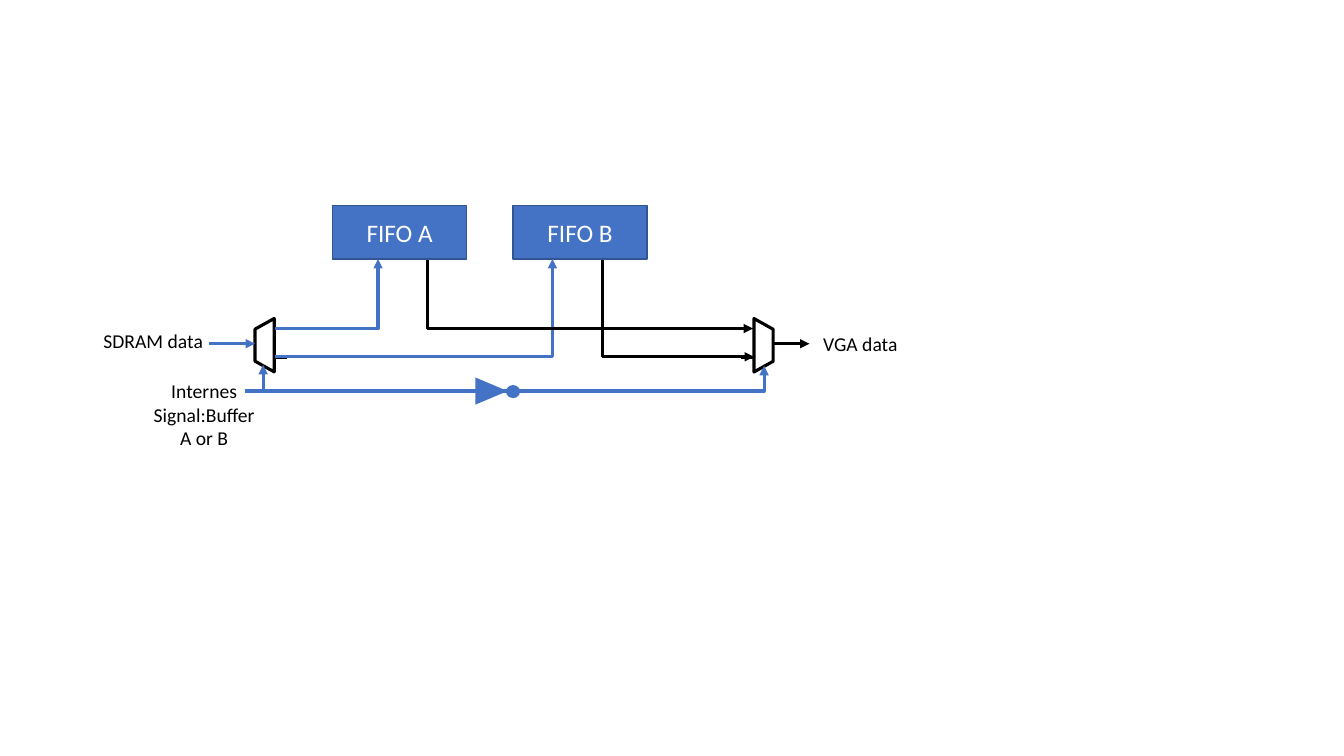
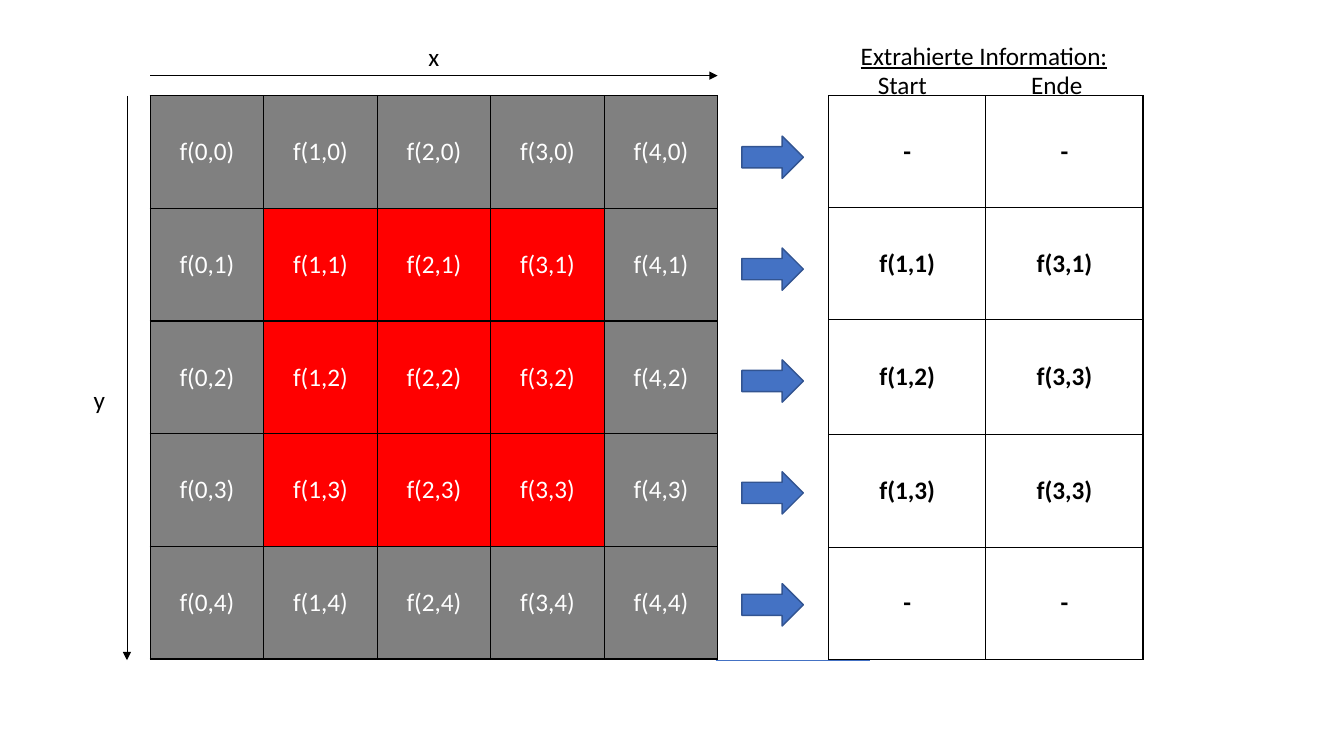
from dataclasses import dataclass

from lxml import etree
from pptx import Presentation
from pptx.dml.color import RGBColor
from pptx.enum.shapes import MSO_CONNECTOR, MSO_SHAPE
from pptx.enum.text import MSO_ANCHOR, MSO_AUTO_SIZE, PP_ALIGN
from pptx.oxml.ns import qn
from pptx.util import Inches, Pt

RECT = MSO_SHAPE.RECTANGLE
ARROW = MSO_SHAPE.RIGHT_ARROW
CONE = MSO_SHAPE.ISOSCELES_TRIANGLE
DOT = MSO_SHAPE.OVAL
MUX = MSO_SHAPE.FLOWCHART_MANUAL_OPERATION
LINE = MSO_CONNECTOR.STRAIGHT
BENT = MSO_CONNECTOR.ELBOW
LEFT = PP_ALIGN.LEFT
MID = PP_ALIGN.CENTER
CENTER = MSO_ANCHOR.MIDDLE
GROW = MSO_AUTO_SIZE.SHAPE_TO_FIT_TEXT

COLS, ROWS = 133.33, 75


@dataclass(frozen=True)
class Theme:
    font: str = "Calibri"
    blue: str = "4472C4"
    edge: str = "325491"
    black: str = "000000"
    white: str = "FFFFFF"
    gray: str = "808080"
    red: str = "FF0000"
    body: int = 18
    small: int = 14
    thick: float = 2.25
    thin: float = 1
    hair: float = 0.5


T = Theme()


def grid(*cells):
    return [Inches(cell / 10) for cell in cells]


def rgb(code):
    return RGBColor.from_string(code)


def write(frame, text, color, size=T.body, align=MID, bold=False, under=False):
    par = frame.paragraphs[0]
    par.alignment = align
    for i, part in enumerate(text.split("\n")):
        if i:
            par.add_line_break()
        run = par.add_run()
        run.text = part
        font = run.font
        font.name, font.size = T.font, Pt(size)
        font.bold, font.underline = bold, under
        font.color.rgb = rgb(color)


def label(slide, box, text, size=T.body, align=LEFT, wrap=False, under=False):
    frame = slide.shapes.add_textbox(*grid(*box)).text_frame
    frame.word_wrap = wrap
    frame.auto_size = GROW
    write(frame, text, T.black, size, align, under=under)


def block(slide, kind, box, fill=T.blue, edge=None, width=T.thin, turn=0, text=None):
    shape = slide.shapes.add_shape(kind, *grid(*box))
    shape.shadow.inherit = False
    shape.rotation = turn
    shape.fill.solid()
    shape.fill.fore_color.rgb = rgb(fill)
    if edge:
        shape.line.color.rgb = rgb(edge)
        shape.line.width = Pt(width)
    else:
        shape.line.fill.background()
    if text:
        shape.text_frame.vertical_anchor = CENTER
        write(shape.text_frame, text, T.white)


def wire(slide, start, end, color=T.black, width=T.thick, head=True, bend=None):
    kind = LINE if bend is None else BENT
    link = slide.shapes.add_connector(kind, *grid(*start, *end))
    link.line.color.rgb = rgb(color)
    link.line.width = Pt(width)
    props = link.element.spPr
    if head:
        etree.SubElement(props.find(qn("a:ln")), qn("a:tailEnd"), type="triangle")
    if bend is not None:
        shape = props.find(qn("a:prstGeom"))
        for old in shape.findall(qn("a:avLst")):
            shape.remove(old)
        marks = etree.SubElement(shape, qn("a:avLst"))
        etree.SubElement(marks, qn("a:gd"), name="adj1", fmla=f"val {bend * 100000}")
    etree.SubElement(props, qn("a:effectLst"))


def border(cell):
    props = cell._tc.get_or_add_tcPr()
    for i, side in enumerate(("a:lnL", "a:lnR", "a:lnT", "a:lnB")):
        line = etree.Element(qn(side), w=str(Pt(T.thin)))
        fill = etree.SubElement(line, qn("a:solidFill"))
        etree.SubElement(fill, qn("a:srgbClr"), val=T.black)
        props.insert(i, line)


def table(slide, spot, wide, highs, rows, color, fills=None, bold=False):
    count = len(rows[0])
    box = grid(*spot, wide * count, sum(highs))
    grid_table = slide.shapes.add_table(len(rows), count, *box).table
    grid_table.first_row = grid_table.horz_banding = False
    for col in grid_table.columns:
        col.width = Inches(wide / 10)
    for y, row in enumerate(rows):
        grid_table.rows[y].height = Inches(highs[y] / 10)
        for x, text in enumerate(row):
            cell = grid_table.cell(y, x)
            cell.vertical_anchor = CENTER
            if fills:
                cell.fill.solid()
                cell.fill.fore_color.rgb = rgb(fills[y][x])
            else:
                cell.fill.background()
            border(cell)
            write(cell.text_frame, text, color, bold=bold)


def mux(slide, mid, way):
    block(slide, MUX, (mid - 2.65, 33.3, 5.3, 1.9), T.white, T.black, T.thick,
          turn=90 * way)
    pins = [(0, 36.2, 0, 37.5), (1, 32.6, 2.2, 32.6),
            (1, 35.5, 2.2, 35.5), (-2, 34.1, -1, 34.1)]
    for left, top, right, low in pins:
        wire(slide, (mid + way * left, top), (mid + way * right, low),
             width=T.thin, head=False)


def buffers(slide):
    mux(slide, 26.25, 1)
    mux(slide, 75.75, -1)
    for left, name in ((33, "FIFO A"), (50.9, "FIFO B")):
        block(slide, RECT, (left, 20.4, 13.3, 5.3), edge=T.edge, text=name)
    block(slide, CONE, (47.4, 37.2, 2.7, 3.2), turn=90)
    block(slide, DOT, (50.2, 38.2, 1.4, 1.3))
    for start, end, bend in (
        ((27.3, 32.6), (37.5, 25.7), 1),
        ((20.7, 34.1), (25.3, 34.1), None),
        ((27.3, 35.4), (54.8, 25.7), 1),
        ((24.3, 38.8), (75.8, 36.3), 1),
        ((26.1, 38.9), (26.1, 36.2), None),
    ):
        wire(slide, start, end, T.blue, bend=bend)
    for start, end, bend in (
        ((42.4, 25.8), (74.7, 32.6), 0),
        ((59.8, 25.8), (74.8, 35.4), 0),
        ((76.8, 34.1), (80.3, 34.1), None),
    ):
        wire(slide, start, end, bend=bend)
    for box, text, wrap in (
        ((9.2, 32.1, 12, 3.4), "SDRAM data", False),
        ((80.6, 32.4, 9.5, 3.4), "VGA data", False),
        ((13.2, 37.1, 14.1, 8.1), "Internes Signal:Buffer\nA or B", True),
    ):
        label(slide, box, text, T.small, MID, wrap)


def pixels(slide):
    side = range(5)
    names = [[f"f({x},{y})" for x in side] for y in side]
    fills = [[T.red if 0 < x < 4 and 0 < y < 4 else T.gray for x in side]
             for y in side]
    table(slide, (14.9, 9.5), 11.26, [11.18] * 5, names, T.white, fills)
    wire(slide, (14.9, 7.5), (71.2, 7.5), width=T.hair)
    label(slide, (41.5, 3.6, 3.1, 4), "x")
    wire(slide, (12.6, 9.5), (12.6, 65.5), width=T.hair)
    label(slide, (8.3, 37.6, 3.1, 4), "y", wrap=True)
    for y in side:
        block(slide, ARROW, (73.6, 13.5 + 11.1 * y, 6.1, 4.2), edge=T.edge)
    label(slide, (84.4, 3.5, 26.8, 4), "Extrahierte Information:", under=True)
    spans = [("-", "-"), ("f(1,1)", "f(3,1)"), ("f(1,2)", "f(3,3)"),
             ("f(1,3)", "f(3,3)"), ("-", "-")]
    table(slide, (82.2, 9.5), 15.6, [11.1, 11.1, 11.4, 11.2, 11.1], spans,
          T.black, bold=True)
    label(slide, (86.1, 6.4, 6.9, 4), "Start")
    label(slide, (101.3, 6.4, 7.2, 4), "Ende")
    wire(slide, (71, 65.5), (86.3, 65.5), T.blue, T.hair, head=False)


def main():
    deck = Presentation()
    deck.slide_width, deck.slide_height = grid(COLS, ROWS)
    for draw in (buffers, pixels):
        draw(deck.slides.add_slide(deck.slide_layouts[6]))
    deck.save("out.pptx")


if __name__ == "__main__":
    main()
